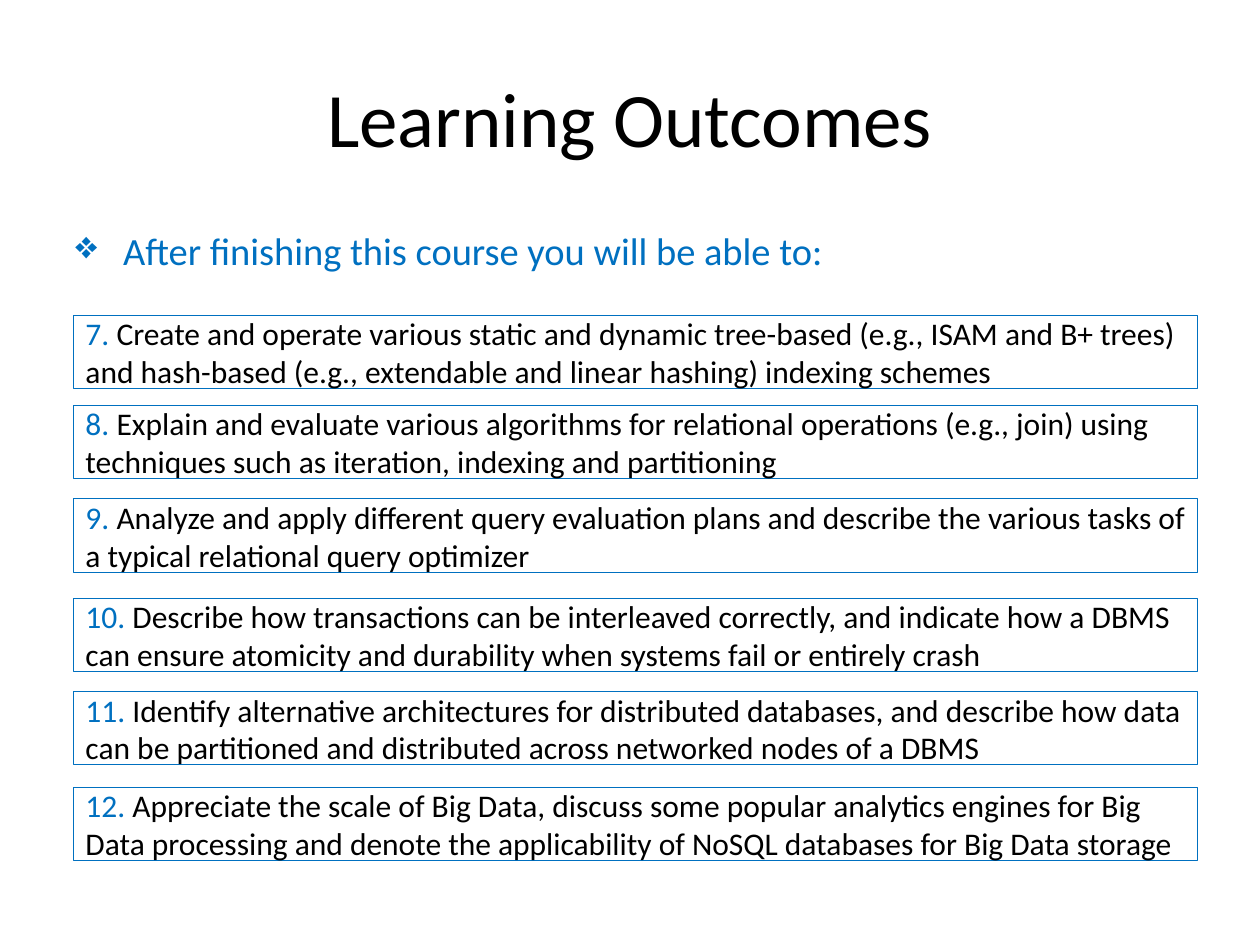
from lxml.etree import SubElement
from pptx import Presentation
from pptx.dml.color import RGBColor
from pptx.enum.shapes import MSO_SHAPE
from pptx.enum.text import MSO_ANCHOR, PP_ALIGN
from pptx.oxml.ns import qn
from pptx.util import Inches, Pt

BLACK = RGBColor(0x00, 0x00, 0x00)
WHITE = RGBColor(0xFF, 0xFF, 0xFF)
BLUE = RGBColor(0x00, 0x70, 0xC0)


def style(paragraph, size, color):
    paragraph.font.name = "Calibri"
    paragraph.font.size = Pt(size)
    paragraph.font.color.rgb = color


presentation = Presentation()
presentation.slide_width = Inches(10)
presentation.slide_height = Inches(7.5)
slide = presentation.slides.add_slide(presentation.slide_layouts[6])

title = slide.shapes.add_textbox(Inches(0.5), Inches(0.3), Inches(9), Inches(1.25)).text_frame
title.word_wrap = True
title.vertical_anchor = MSO_ANCHOR.MIDDLE
heading = title.paragraphs[0]
heading.text = "Learning Outcomes"
heading.alignment = PP_ALIGN.CENTER
style(heading, 44, BLACK)

intro = slide.shapes.add_textbox(Inches(0.5), Inches(1.75), Inches(9), Inches(0.5)).text_frame
intro.word_wrap = True
lead = intro.paragraphs[0]
lead.text = "After finishing this course you will be able to:"
lead_properties = lead._p.get_or_add_pPr()
lead_properties.set("marL", str(Inches(0.38)))
lead_properties.set("indent", str(-Inches(0.38)))
SubElement(lead_properties, qn("a:buChar"), char="❖")
style(lead, 22, BLUE)

outcomes = [
    (2.5, "Create and operate various static and dynamic tree-based (e.g., ISAM and B+ trees) "
          "and hash-based (e.g., extendable and linear hashing) indexing schemes"),
    (3.22, "Explain and evaluate various algorithms for relational operations (e.g., join) using "
           "techniques such as iteration, indexing and partitioning"),
    (3.96, "Analyze and apply different query evaluation plans and describe the various tasks of "
           "a typical relational query optimizer"),
    (4.75, "Describe how transactions can be interleaved correctly, and indicate how a DBMS "
           "can ensure atomicity and durability when systems fail or entirely crash"),
    (5.49, "Identify alternative architectures for distributed databases, and describe how data "
           "can be partitioned and distributed across networked nodes of a DBMS"),
    (6.25, "Appreciate the scale of Big Data, discuss some popular analytics engines for Big "
           "Data processing and denote the applicability of NoSQL databases for Big Data storage"),
]

for number, (top, outcome) in enumerate(outcomes, start=7):
    box = slide.shapes.add_shape(
        MSO_SHAPE.RECTANGLE, Inches(0.58), Inches(top), Inches(8.92), Inches(0.58))
    box.shadow.inherit = False
    box.fill.solid()
    box.fill.fore_color.rgb = WHITE
    box.line.color.rgb = BLUE
    box.line.width = Pt(0.5)
    frame = box.text_frame
    frame.word_wrap = True
    frame.vertical_anchor = MSO_ANCHOR.MIDDLE
    frame.margin_left = Inches(0.1)
    frame.margin_top = frame.margin_right = frame.margin_bottom = 0
    statement = frame.paragraphs[0]
    statement.alignment = PP_ALIGN.LEFT
    style(statement, 18, BLACK)
    for text, color in ((f"{number}. ", BLUE), (outcome, BLACK)):
        run = statement.add_run()
        run.text = text
        run.font.color.rgb = color

presentation.save("out.pptx")
